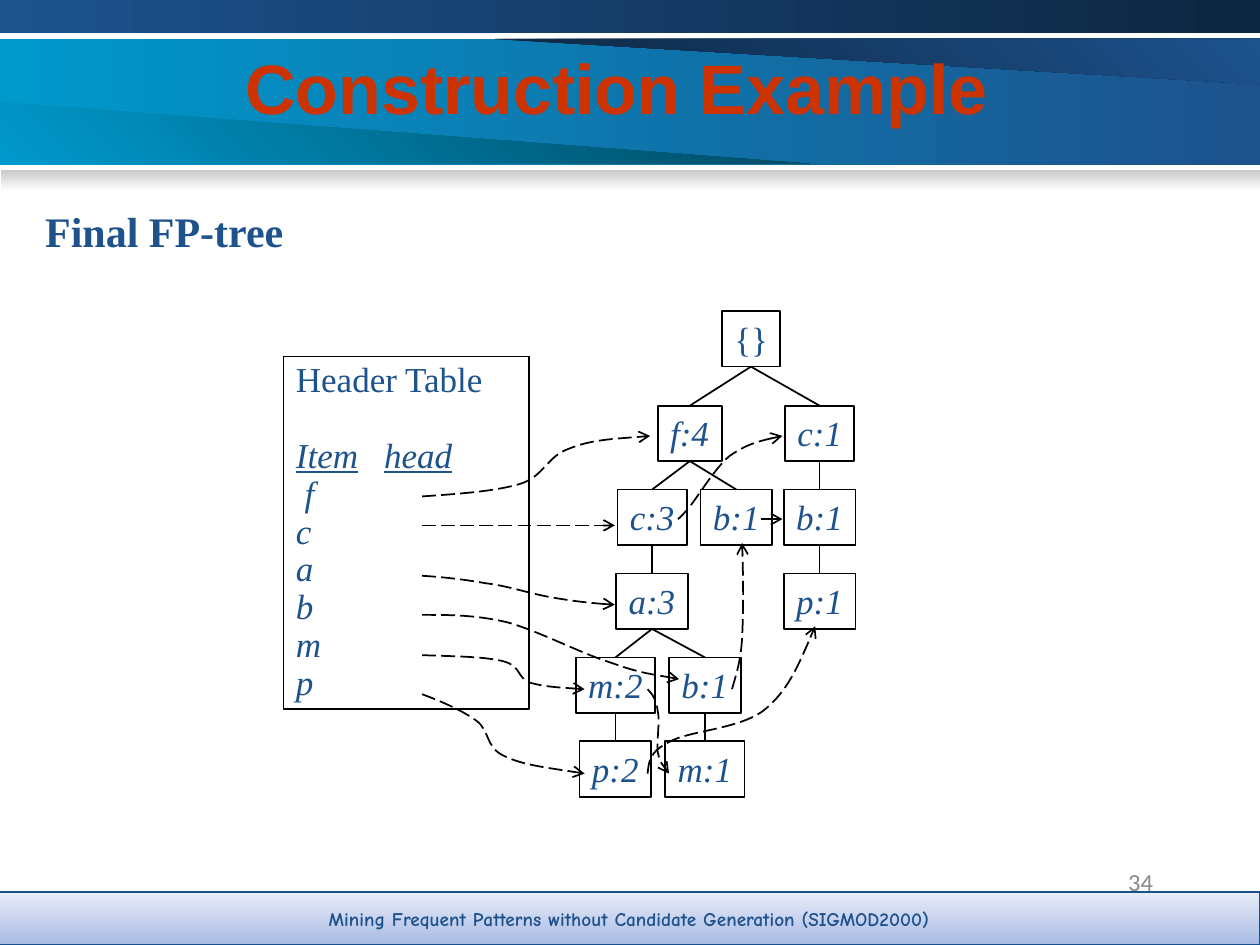
from dataclasses import dataclass

from lxml import etree
from pptx import Presentation
from pptx.dml.color import RGBColor
from pptx.enum.dml import MSO_LINE
from pptx.enum.shapes import MSO_CONNECTOR, MSO_SHAPE
from pptx.enum.text import MSO_ANCHOR, PP_ALIGN
from pptx.oxml.ns import qn
from pptx.util import Inches, Pt

RECTANGLE = MSO_SHAPE.RECTANGLE
STRAIGHT = MSO_CONNECTOR.STRAIGHT
LONG_DASH = MSO_LINE.LONG_DASH
TOP, MIDDLE = MSO_ANCHOR.TOP, MSO_ANCHOR.MIDDLE
LEFT, CENTER, RIGHT = PP_ALIGN.LEFT, PP_ALIGN.CENTER, PP_ALIGN.RIGHT
BOTTOM_SITE, TOP_SITE = 2, 0

COLORS = {
    "blue": "1D528D", "navy": "0D2641", "cyan": "0099CC", "teal": "00475E",
    "gray": "CACACA", "white": "FFFFFF", "number": "898989", "title": "CC3300",
    "bar_dark": "A9BAE4", "bar_light": "E8ECF8", "bar_line": "19508C", "black": "000000",
}
SERIF = "Times New Roman"
NODE_HEIGHT = 0.44
FIRST_LEVEL_TOP = 3.22
LEVEL_STEP = 0.666
LINK_LEFT = 3.35


@dataclass(frozen=True)
class TextStyle:
    size: float
    font: str = SERIF
    color: str = "blue"
    bold: bool = False
    italic: bool = False


@dataclass(frozen=True)
class Node:
    key: str
    label: str
    left: float
    top: float
    width: float
    parent: str = ""


def level_top(level: int) -> float:
    return FIRST_LEVEL_TOP + LEVEL_STEP * (level - 1)


NODES = [
    Node("root", "{}", 5.73, 2.47, 0.46),
    Node("f", "f:4", 5.22, level_top(1), 0.51, "root"),
    Node("c right", "c:1", 6.23, level_top(1), 0.55, "root"),
    Node("c", "c:3", 4.9, level_top(2), 0.55, "f"),
    Node("b middle", "b:1", 5.56, level_top(2), 0.57, "f"),
    Node("b right", "b:1", 6.22, level_top(2), 0.57, "c right"),
    Node("a", "a:3", 4.89, level_top(3), 0.57, "c"),
    Node("p right", "p:1", 6.22, level_top(3), 0.57, "b right"),
    Node("m", "m:2", 4.57, level_top(4), 0.63, "a"),
    Node("b low", "b:1", 5.31, level_top(4), 0.57, "a"),
    Node("p", "p:2", 4.6, level_top(5), 0.57, "m"),
    Node("m low", "m:1", 5.28, level_top(5), 0.63, "b low"),
]

CURVED_LINKS = [
    [(LINK_LEFT, 3.94), (3.64, 3.92), (3.93, 3.9), (4.13, 3.84), (4.32, 3.78),
     (4.34, 3.62), (4.52, 3.56), (4.69, 3.49), (4.93, 3.48), (5.16, 3.46)],
    [(5.38, 4.12), (5.38, 4.12), (5.39, 4.12), (5.46, 4.04), (5.53, 3.96),
     (5.67, 3.72), (5.79, 3.62), (5.92, 3.53), (6.06, 3.49), (6.21, 3.46)],
    [(LINK_LEFT, 4.57), (3.52, 4.58), (3.69, 4.6), (3.86, 4.63), (4.03, 4.65),
     (4.2, 4.71), (4.37, 4.74), (4.54, 4.77), (4.71, 4.79), (4.88, 4.8)],
    [(LINK_LEFT, 4.88), (3.57, 4.88), (3.78, 4.88), (4.03, 4.94), (4.28, 5.01),
     (4.62, 5.19), (4.85, 5.26), (5.07, 5.34), (5.23, 5.36), (5.39, 5.39)],
    [(5.81, 5.47), (5.84, 5.36), (5.88, 5.25), (5.89, 5.06), (5.9, 4.86),
     (5.9, 4.59), (5.89, 4.31)],
    [(LINK_LEFT, 5.2), (3.6, 5.21), (3.85, 5.21), (4, 5.25), (4.14, 5.29),
     (4.1, 5.38), (4.21, 5.42), (4.32, 5.45), (4.48, 5.46), (4.64, 5.47)],
    [(5.14, 5.47), (5.18, 5.51), (5.21, 5.56), (5.22, 5.64), (5.24, 5.72),
     (5.21, 5.89), (5.22, 5.97), (5.24, 6.05), (5.27, 6.1), (5.31, 6.14)],
    [(LINK_LEFT, 5.51), (3.51, 5.57), (3.67, 5.64), (3.78, 5.72), (3.89, 5.8),
     (3.85, 5.93), (4, 6), (4.14, 6.07), (4.39, 6.1), (4.64, 6.14)],
    [(5.14, 6.14), (5.15, 6.05), (5.15, 5.97), (5.31, 5.89), (5.46, 5.8),
     (5.86, 5.79), (6.06, 5.64), (6.25, 5.49), (6.36, 5.23), (6.47, 4.97)],
]
STRAIGHT_LINKS = [(LINK_LEFT, 4.88, 4.17), (6.04, 6.21, 4.12)]


def rgb(name: str) -> RGBColor:
    return RGBColor.from_string(COLORS[name])


def set_line(shape, color: str = "black", width: float = 1) -> None:
    shape.line.color.rgb = rgb(color)
    shape.line.width = Pt(width)


def set_gradient(shape, first: str, last: str, angle: float, border: str = "") -> None:
    shape.shadow.inherit = False
    if border:
        set_line(shape, border, 0.75)
    else:
        shape.line.fill.background()
    shape.fill.gradient()
    shape.fill.gradient_angle = angle
    for stop, color in zip(shape.fill.gradient_stops, (first, last)):
        stop.color.rgb = rgb(color)


def add_rectangle(slide, left: float, top: float, width: float, height: float):
    box = slide.shapes.add_shape(RECTANGLE, Inches(left), Inches(top), Inches(width), Inches(height))
    box.shadow.inherit = False
    box.fill.background()
    set_line(box)
    return box


def add_outline(slide, points: list, close: bool):
    corners = [(Inches(x), Inches(y)) for x, y in points]
    builder = slide.shapes.build_freeform(*corners[0])
    builder.add_line_segments(corners[1:], close=close)
    outline = builder.convert_to_shape()
    outline.shadow.inherit = False
    return outline


def style_paragraph(para, style: TextStyle, align=LEFT) -> None:
    para.alignment = align
    for span in para.runs:
        span.font.name = style.font
        span.font.size = Pt(style.size)
        span.font.bold = style.bold
        span.font.italic = style.italic
        span.font.color.rgb = rgb(style.color)


def write(box, text: str, style: TextStyle, align=LEFT, anchor=TOP, wrap: bool = False) -> None:
    frame = box.text_frame
    frame.text = text
    frame.word_wrap = wrap
    frame.vertical_anchor = anchor
    style_paragraph(frame.paragraphs[0], style, align)


def add_text(slide, left: float, top: float, width: float, height: float, text: str, style: TextStyle, **layout) -> None:
    box = slide.shapes.add_textbox(Inches(left), Inches(top), Inches(width), Inches(height))
    write(box, text, style, **layout)


def add_banner(slide) -> None:
    set_gradient(add_rectangle(slide, 0, 0.31, 10, 1), "cyan", "blue", 0)
    upper = add_outline(slide, [(3.93, 0.31), (10, 0.67), (10, 0.31)], True)
    set_gradient(upper, "navy", "blue", 45)
    lower = add_outline(slide, [(0, 1.3), (6.43, 1.3), (0, 0.81)], True)
    set_gradient(lower, "cyan", "teal", 45)
    set_gradient(add_rectangle(slide, 0, 0, 10, 0.26), "blue", "navy", 0)
    set_gradient(add_rectangle(slide, 0.01, 1.35, 9.99, 0.17), "gray", "white", 270)


def add_straight(slide, start: tuple, end: tuple):
    line = slide.shapes.add_connector(STRAIGHT, *(Inches(value) for value in (*start, *end)))
    set_line(line)
    etree.SubElement(line._element.spPr, qn("a:effectLst"))
    return line


def add_tree(slide) -> None:
    boxes = {}
    for node in NODES:
        box = add_rectangle(slide, node.left, node.top, node.width, NODE_HEIGHT)
        write(box, node.label, TextStyle(20, italic=node.key != "root"))
        boxes[node.key] = box
        if node.parent:
            edge = add_straight(slide, (0, 0), (1, 1))
            edge.begin_connect(boxes[node.parent], BOTTOM_SITE)
            edge.end_connect(box, TOP_SITE)


def add_header_table(slide) -> None:
    box = add_rectangle(slide, 2.25, 2.83, 1.95, 2.8)
    frame = box.text_frame
    frame.text = "\n".join(["Header Table", "Item\thead", *"fcabmp"])
    frame.word_wrap = True
    frame.vertical_anchor = TOP
    for index, para in enumerate(frame.paragraphs):
        style_paragraph(para, TextStyle(20, italic=index > 0))
        para.line_spacing = 0.9
        para.space_after = Pt(21.6 if index == 0 else 0)
    heading, first_item = frame.paragraphs[1:3]
    tabs = etree.SubElement(heading._p.get_or_add_pPr(), qn("a:tabLst"))
    etree.SubElement(tabs, qn("a:tab"), pos=str(Inches(0.7)), algn="l")
    for span in heading.runs:
        span.font.underline = True
    first_item._p.get_or_add_pPr().set("marL", str(Inches(0.07)))


def make_dashed_arrow(line) -> None:
    set_line(line)
    line.line.dash_style = LONG_DASH
    etree.SubElement(line._element.spPr.find(qn("a:ln")), qn("a:tailEnd"), type="arrow")


def add_curve(slide, points: list) -> None:
    curve = add_outline(slide, points, False)
    curve.fill.background()
    route = next(curve._element.iter(qn("a:path")))
    segments = route.findall(qn("a:lnTo"))
    for start in range(0, len(segments), 3):
        bezier = etree.SubElement(route, qn("a:cubicBezTo"))
        for segment in segments[start:start + 3]:
            bezier.append(segment[0])
            route.remove(segment)
    make_dashed_arrow(curve)


def main() -> None:
    deck = Presentation()
    deck.slide_width, deck.slide_height = Inches(10), Inches(7.5)
    page = deck.slides.add_slide(deck.slide_layouts[6])
    add_banner(page)
    add_text(page, 7.17, 6.83, 2.08, 0.5, "34", TextStyle(14, "Calibri", "number"), align=RIGHT, wrap=True)
    footer = add_rectangle(page, -0.01, 7.08, 10.01, 0.42)
    set_gradient(footer, "bar_dark", "bar_light", 90, "bar_line")
    write(footer, "Mining Frequent Patterns without Candidate Generation (SIGMOD2000)",
          TextStyle(11, "Comic Neue", bold=True), CENTER, MIDDLE)
    add_text(page, 1.85, 0.28, 9.75, 0.82, "Construction Example",
             TextStyle(40, "Arial", "title", bold=True), anchor=MIDDLE, wrap=True)
    add_text(page, 0.26, 1.58, 2.09, 0.5, "Final FP-tree", TextStyle(24, bold=True))
    add_tree(page)
    add_header_table(page)
    for points in CURVED_LINKS:
        add_curve(page, points)
    for left, right, height in STRAIGHT_LINKS:
        make_dashed_arrow(add_straight(page, (left, height), (right, height)))
    deck.save("out.pptx")


if __name__ == "__main__":
    main()
